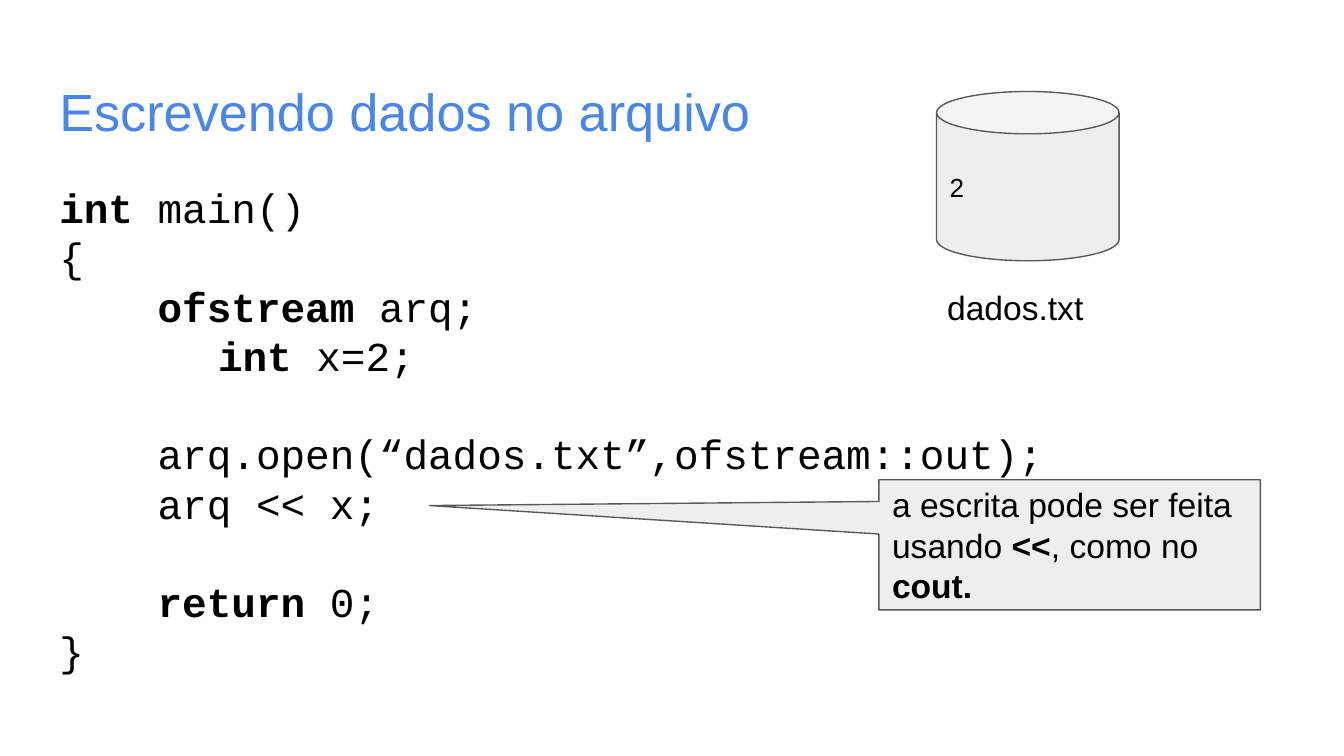
from pptx import Presentation
from pptx.util import Cm, Pt
from pptx.dml.color import RGBColor
from pptx.enum.shapes import MSO_SHAPE
from pptx.enum.text import MSO_ANCHOR, MSO_AUTO_SIZE, PP_ALIGN

CAN, CALLOUT = MSO_SHAPE.CAN, MSO_SHAPE.RECTANGULAR_CALLOUT
TOP, MIDDLE = MSO_ANCHOR.TOP, MSO_ANCHOR.MIDDLE
LEFT, NO_FIT = PP_ALIGN.LEFT, MSO_AUTO_SIZE.NONE
COLORS = {"title": "4A86E8", "text": "000000", "fill": "EEEEEE",
          "line": "595959", "bg": "FFFFFF"}


def rgb(name):
    return RGBColor.from_string(COLORS[name])


def write(sp, lines, size, font="Arial", color="text", anchor=TOP):
    """Each line is a list of runs; the runs between ** marks are bold."""
    tf = sp.text_frame
    frame = {"word_wrap": True, "auto_size": NO_FIT, "vertical_anchor": anchor}
    for side in ("left", "top", "right", "bottom"):
        frame["margin_" + side] = Cm(0.25)
    for name, value in frame.items():
        setattr(tf, name, value)
    for i, line in enumerate(lines):
        p = tf.paragraphs[0] if i == 0 else tf.add_paragraph()
        p.alignment, p.space_before = LEFT, Pt(0)
        for j, part in enumerate(line.split("**")):
            if part:
                r = p.add_run()
                r.text = part
                for name, value in {"name": font, "size": Pt(size),
                                    "bold": j % 2 == 1}.items():
                    setattr(r.font, name, value)
                r.font.color.rgb = rgb(color)
    return tf.paragraphs


prs = Presentation()
prs.slide_width, prs.slide_height = Cm(25.4), Cm(14.29)
s = prs.slides.add_slide(prs.slide_layouts[1])
s.background.fill.solid()
s.background.fill.fore_color.rgb = rgb("bg")

# Title
title, body = s.placeholders
title.left, title.top, title.width, title.height = Cm(0.87), Cm(1.24), Cm(23.67), Cm(1.59)
write(title, ["Escrevendo dados no arquivo"], 28, color="title")

# Code: text, indent in cm, blank lines before
code = [("**int** main()", 0, 0),
        ("{", 0, 0),
        ("**ofstream **arq;", 1.86, 0),
        ("**int **x=2;", 3, 0),
        ("arq.open(“dados.txt”,ofstream::out);", 1.86, 1),
        ("arq << x;", 1.86, 0),
        ("**return **0;", 1.86, 1),
        ("}", 0, 0)]
body.left, body.top, body.width, body.height = Cm(0.87), Cm(3.2), Cm(21.7), Cm(9.5)
paragraphs = write(body, [text for text, _, _ in code], 22, "Courier New")
for p, (_, indent, blanks) in zip(paragraphs, code):
    p.line_spacing = 1.0
    p.space_before = Pt(26.4 * blanks)
    pPr = p._p.get_or_add_pPr()
    pPr.set("marL", str(Cm(indent)))
    pPr.set("indent", "0")
    pPr.insert_element_before(pPr.makeelement(
        "{http://schemas.openxmlformats.org/drawingml/2006/main}buNone", {}),
        "a:tabLst", "a:defRPr", "a:extLst")

# File and its name
group = s.shapes.add_group_shape()
can = group.shapes.add_shape(CAN, Cm(17.7), Cm(1.73), Cm(3.45), Cm(3.2))
can.adjustments[0] = 0.25
write(can, ["2"], 14, anchor=MIDDLE)
label = group.shapes.add_textbox(Cm(17.65), Cm(5.18), Cm(3.45), Cm(1.22))
write(label, ["dados.txt"], 18)

# Callout
note = s.shapes.add_shape(CALLOUT, Cm(16.61), Cm(9.07), Cm(7.21), Cm(2.46))
note.adjustments[0], note.adjustments[1] = -1.678, -0.302
write(note, ["a escrita pode ser feita usando **<<**, como no **cout."], 18,
      anchor=MIDDLE)

for sp in (can, note):
    sp.shadow.inherit = False
    sp.fill.solid()
    sp.fill.fore_color.rgb = rgb("fill")
    sp.line.color.rgb = rgb("line")
    sp.line.width = Pt(0.75)

prs.save("out.pptx")
